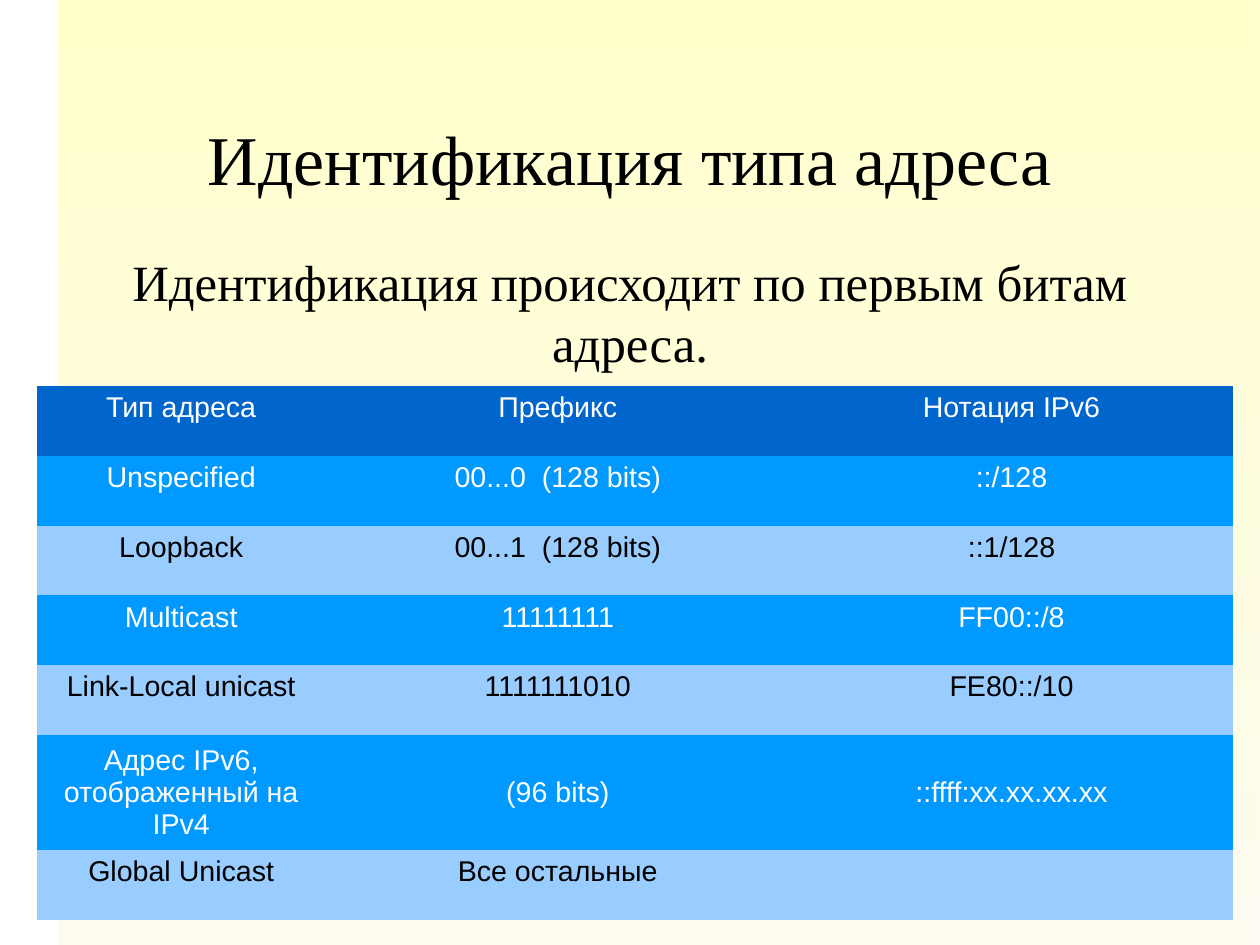
from pptx import Presentation
from pptx.dml.color import RGBColor
from pptx.enum.shapes import MSO_SHAPE
from pptx.enum.text import MSO_ANCHOR, PP_ALIGN
from pptx.oxml.ns import qn
from pptx.util import Inches, Pt

COLORS = {
    "ink": "000000",
    "white": "FFFFFF",
    "cream": "FFFBF0",
    "yellow": "FFFFCC",
    "head": "0066CC",
    "dark": "0099FF",
    "light": "99CCFF",
}
PLAIN = "{2D5ABB26-0587-4C30-8999-92F81FD0307C}"
WIDTHS = [2.53, 4.06, 3.88]
ROW = 0.61
TALL = 1.01
ROWS = [
    ("Тип адреса", "Префикс", "Нотация IPv6"),
    ("Unspecified", "00...0  (128 bits)", "::/128"),
    ("Loopback", "00...1  (128 bits)", "::1/128"),
    ("Multicast", "11111111", "FF00::/8"),
    ("Link-Local unicast", "1111111010", "FE80::/10"),
    ("Адрес IPv6, отображенный на IPv4", "(96 bits)", "::ffff:xx.xx.xx.xx"),
    ("Global Unicast", "Все остальные", ""),
]
MAPPED = 5


def color(name):
    return RGBColor.from_string(COLORS[name])


def style(para, face, size, tint):
    para.alignment = PP_ALIGN.CENTER
    para.font.name = face
    para.font.size = Pt(size)
    para.font.color.rgb = color(tint)


def add_panel(slide, box):
    panel = slide.shapes.add_shape(MSO_SHAPE.RECTANGLE, *map(Inches, box))
    panel.shadow.inherit = False
    panel.line.fill.background()
    panel.fill.gradient()
    panel.fill.gradient_angle = 90
    for stop, place, name in zip(panel.fill.gradient_stops, (0, 1), ("cream", "yellow")):
        stop.position = place
        stop.color.rgb = color(name)


def add_text(slide, box, text, size):
    frame = slide.shapes.add_textbox(*map(Inches, box)).text_frame
    frame.word_wrap = True
    frame.vertical_anchor = MSO_ANCHOR.MIDDLE
    frame.margin_left = frame.margin_right = 0
    frame.margin_top = frame.margin_bottom = 0
    para = frame.paragraphs[0]
    para.text = text
    style(para, "Times New Roman", size, "ink")


def add_grid(slide, box):
    table = slide.shapes.add_table(len(ROWS), len(WIDTHS), *map(Inches, box)).table
    table.first_row = table.horz_banding = False
    table._tbl.tblPr.find(qn("a:tableStyleId")).text = PLAIN
    for col, width in zip(table.columns, WIDTHS):
        col.width = Inches(width)
    for i, texts in enumerate(ROWS):
        table.rows[i].height = Inches(TALL if i == MAPPED else ROW)
        fill = "head" if i == 0 else "dark" if i % 2 else "light"
        tint = "ink" if fill == "light" else "white"
        for cell, text in zip(table.rows[i].cells, texts):
            cell.fill.solid()
            cell.fill.fore_color.rgb = color(fill)
            if i == MAPPED:
                cell.vertical_anchor = MSO_ANCHOR.MIDDLE
            para = cell.text_frame.paragraphs[0]
            para.text = text
            style(para, "Arial", 18, tint)


def main():
    deck = Presentation()
    deck.slide_width = Inches(28 / 2.54)
    deck.slide_height = Inches(21 / 2.54)
    slide = deck.slides.add_slide(deck.slide_layouts[6])
    add_panel(slide, (0.51, 0, 10.51, 8.27))
    add_text(slide, (0.81, 0.69, 9.41, 1.38), "Идентификация типа адреса", 44)
    add_text(slide, (0.81, 2.12, 9.41, 1.21),
             "Идентификация происходит по первым битам адреса.", 32)
    add_grid(slide, (0.32, 3.38, sum(WIDTHS), ROW * (len(ROWS) - 1) + TALL))
    deck.save("out.pptx")


if __name__ == "__main__":
    main()
